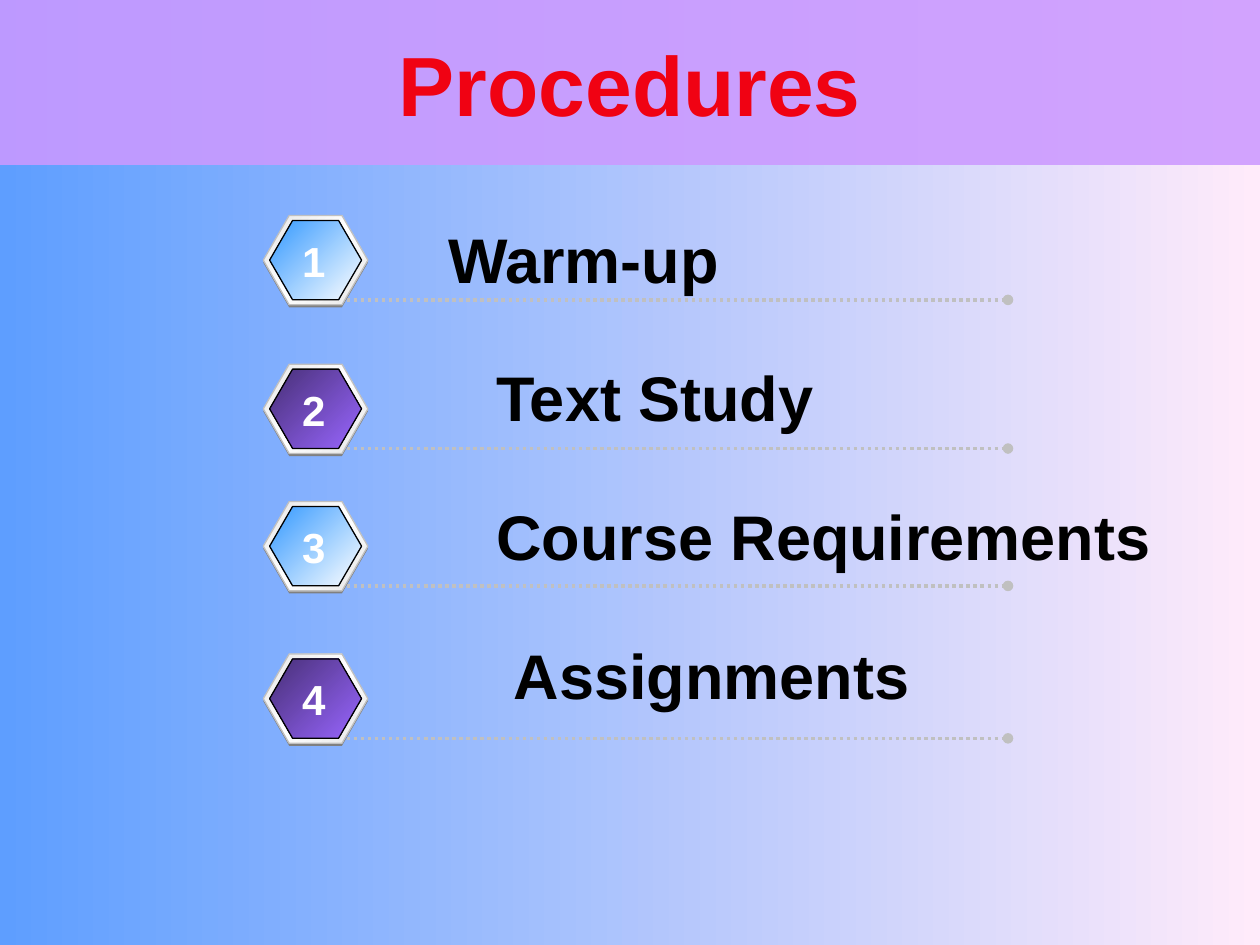
from copy import deepcopy
from pptx import Presentation
from pptx import util as u
from pptx.dml.color import RGBColor
from pptx.enum import dml, shapes, text
from pptx.oxml import parse_xml
from pptx.oxml.ns import nsdecls

rgb = RGBColor.from_string
A = nsdecls("a")


def shade(fill, root, tones, angle=0):
    """Spread tones evenly along a gradient; root is the XML that holds the fill."""
    fill.gradient()
    fill.gradient_angle = angle
    stops = root.xpath(".//a:gsLst")[0]
    while len(stops) < len(tones):
        stops.append(deepcopy(stops[0]))
    for i, (stop, tone) in enumerate(zip(fill.gradient_stops, tones)):
        stop.color.rgb = rgb(tone)
        stop.position = i / (len(tones) - 1)


def write(shape, words, size, tone, align=text.PP_ALIGN.LEFT, fit=True):
    frame = shape.text_frame
    frame.word_wrap = False
    if fit:
        frame.auto_size = text.MSO_AUTO_SIZE.SHAPE_TO_FIT_TEXT
    par = frame.paragraphs[0]
    par.alignment = align
    run = par.add_run()
    run.text = words
    run.font.name = "Arial"
    run.font.size = u.Pt(size)
    run.font.bold = True
    run.font.color.rgb = rgb(tone)


deck = Presentation()
deck.slide_width, deck.slide_height = u.Inches(10), u.Inches(7.5)
page = deck.slides.add_slide(deck.slide_layouts[6])
shade(page.background.fill, page.element, ["5E9EFF", "FFEBFA"])

# Title band
band = page.shapes.add_shape(shapes.MSO_SHAPE.RECTANGLE, 0, 0, u.Inches(10), u.Inches(1.31))
band.shadow.inherit = False
band.fill.solid()
band.fill.fore_color.rgb = rgb("CC99FF")
band.element.xpath(".//a:solidFill/a:srgbClr")[0].append(
    parse_xml(f'<a:alpha {A} val="87000"/>'))
band.line.fill.background()
band.text_frame.vertical_anchor = text.MSO_ANCHOR.MIDDLE
write(band, "Procedures", 48, "F00213", align=text.PP_ALIGN.CENTER, fit=False)

# Numbered steps: badge top, label, label left, label width
steps = [
    (1.71, "Warm-up", 3.46, 3.25),
    (2.89, "Text Study", 3.84, 2.9),
    (3.98, "Course Requirements", 3.84, 5.7),
    (5.19, "Assignments", 3.98, 3.5),
]
tints = [["3399FF", "FFFFFF"], ["472F76", "9966FF"]]

for i, (top, label, left, width) in enumerate(steps):
    row = page.shapes.add_group_shape().shapes

    y = u.Inches(top + 0.67)
    rule = row.add_connector(shapes.MSO_CONNECTOR.STRAIGHT, u.Inches(2.75), y, u.Inches(8), y)
    rule.line.color.rgb = rgb("C0C0C0")
    rule.line.width = u.Pt(2)
    rule.line.dash_style = dml.MSO_LINE.ROUND_DOT
    rule.element.xpath(".//a:ln")[0].append(parse_xml(f'<a:tailEnd {A} type="oval"/>'))
    rule.element.spPr.append(parse_xml(f"<a:effectLst {A}/>"))

    # Badge layers: left, drop, width, height, tones, outline
    layers = [
        (2.09, 0.02, 0.83, 0.71, ["808080"], None),
        (2.09, 0, 0.83, 0.71, ["E6E6E6", "FFFFFF", "E6E6E6"], "C0C0C0"),
        (2.14, 0.04, 0.73, 0.63, tints[i % 2], "000000"),
    ]
    for x, drop, wide, high, tones, edge in layers:
        hexa = row.add_shape(shapes.MSO_SHAPE.HEXAGON, u.Inches(x), u.Inches(top + drop),
                             u.Inches(wide), u.Inches(high))
        hexa.adjustments[0] = 0.29
        hexa.shadow.inherit = False
        if edge:
            shade(hexa.fill, hexa.element, tones, angle=315)
            hexa.line.color.rgb = rgb(edge)
            hexa.line.width = u.Pt(0.75)
        else:
            hexa.fill.solid()
            hexa.fill.fore_color.rgb = rgb(tones[0])
            hexa.line.fill.background()

    digit = row.add_textbox(u.Inches(2.3), u.Inches(top + 0.11), u.Inches(0.38), u.Inches(0.5))
    write(digit, str(i + 1), 24, "FFFFFF", align=text.PP_ALIGN.CENTER)
    name = row.add_textbox(u.Inches(left), u.Inches(1.7 + 1.1 * i), u.Inches(width), u.Inches(0.7))
    write(name, label, 36, "000000")

deck.save("out.pptx")
